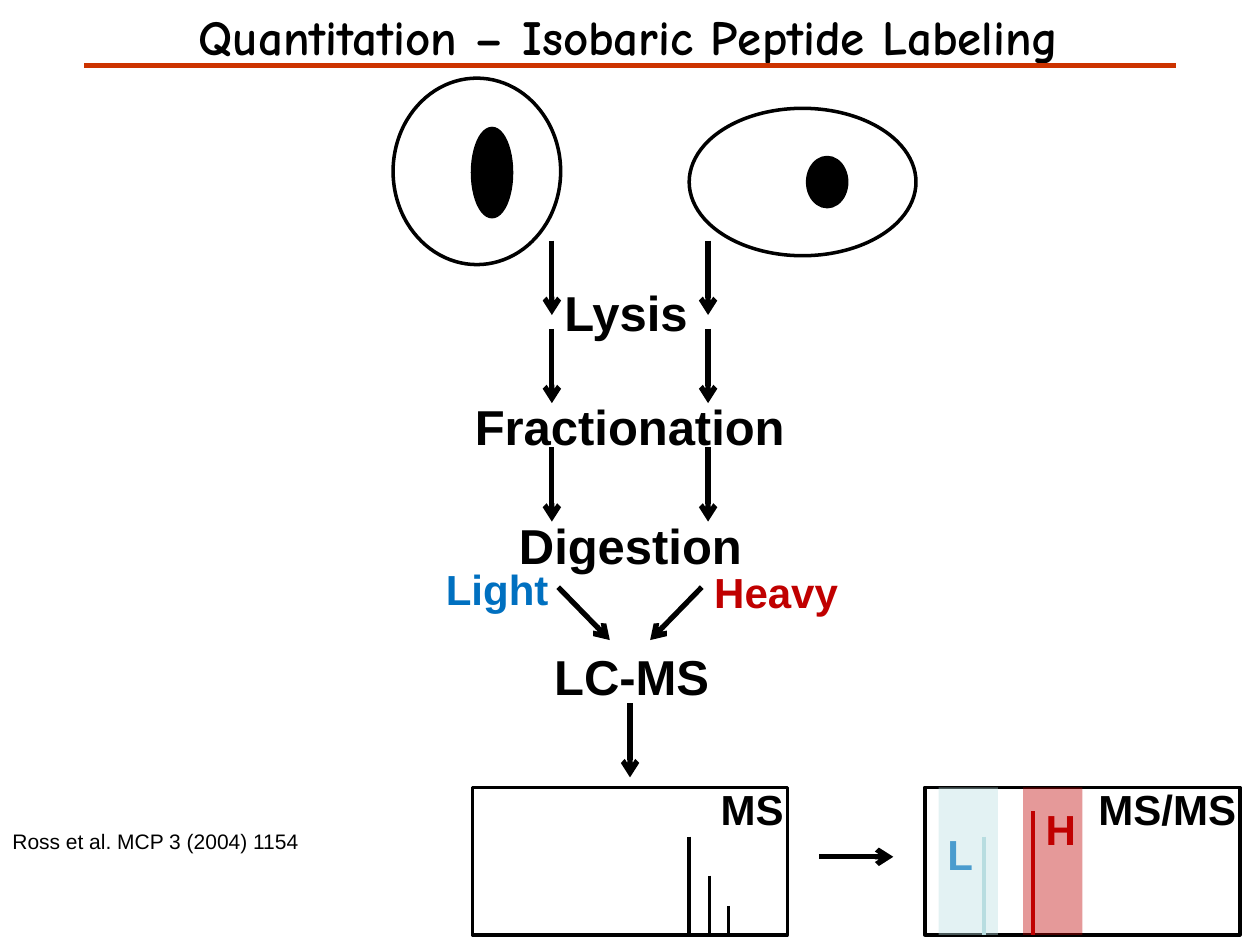
from lxml import etree
from pptx import Presentation
from pptx import util as u
from pptx.dml.color import RGBColor
from pptx.enum import shapes, text
from pptx.oxml.ns import qn

BLACK = RGBColor(0, 0, 0)
BLUE = RGBColor(0x00, 0x70, 0xC0)
RED = RGBColor(0xC0, 0x00, 0x00)
PALE = RGBColor(0xBB, 0xE0, 0xE3)
PALE_LINE = RGBColor(0xB6, 0xDC, 0xDF)
RULE = RGBColor(0xCC, 0x33, 0x00)

# Content: text, (left, top, width, height), size, colour, bold
TITLE = ("Quantitation – Isobaric Peptide Labeling", (1.04, 0, 7.9, 0.57))
LABELS = [
    ("Lysis", (4.38, 2.19, 1.19, 0.57), 28, BLACK, True),
    ("Fractionation", (3.67, 3.1, 2.69, 0.57), 28, BLACK, True),
    ("Digestion", (4.02, 4.04, 1.99, 0.57), 28, BLACK, True),
    ("LC-MS", (4.3, 5.08, 1.45, 0.57), 28, BLACK, True),
    ("Light", (3.44, 4.42, 1.02, 0.51), 24, BLUE, True),
    ("Heavy", (5.57, 4.45, 1.2, 0.51), 24, RED, True),
    ("MS", (5.62, 6.17, 0.71, 0.51), 24, BLACK, True),
    ("MS/MS", (8.62, 6.17, 1.3, 0.51), 24, BLACK, True),
    ("L", (7.42, 6.53, 0.41, 0.51), 24, BLUE, True),
    ("H", (8.2, 6.33, 0.45, 0.51), 24, RED, True),
    ("Ross et al. MCP 3 (2004) 1154", (0, 6.53, 2.49, 0.3), 12, BLACK, False),
]

# Spectra: panels share a top and a base line; peaks are x, top, colour
PANEL_TOP, PANEL_W, PANEL_H = 6.25, 2.5, 1.17
BASE = PANEL_TOP + PANEL_H
PANELS = [3.75, 7.34]
PEAKS = [(5.47, 6.64, BLACK), (5.63, 6.95, BLACK), (5.78, 7.19, BLACK),
         (7.81, 6.64, PALE_LINE), (8.2, 6.44, RED)]
BANDS = [(8.12, RED), (7.45, PALE)]
BAND_W = 0.47

# Cells: pupil drawn first, then the open outline
CELLS = [((3.75, 1.02, 0.31, 0.7), (3.12, 0.62, 1.33, 1.48)),
         ((6.41, 1.25, 0.31, 0.39), (5.47, 0.86, 1.8, 1.17))]

# Arrows: two lanes mirrored about the centre line
CENTRE, LANE, ARROW = 5, 0.62, 0.59
STEP_TOPS = [1.91, 2.61, 3.55]

prs = Presentation()
prs.slide_width, prs.slide_height = u.Inches(10), u.Inches(7.5)
s = prs.slides.add_slide(prs.slide_layouts[5])


def inches(box):
    return [u.Inches(v) for v in box]


def write(sp, words, **font):
    tf = sp.text_frame
    tf.word_wrap = False
    p = tf.paragraphs[0]
    r = p.add_run()
    r.text = words
    color = font.pop("color")
    for name, value in font.items():
        setattr(r.font, name, value)
    r.font.color.rgb = color
    return p


def add_label(words, box, size, color, bold):
    sp = s.shapes.add_textbox(*inches(box))
    write(sp, words, name="Arial", size=u.Pt(size), bold=bold, color=color)


def add_figure(kind, box, fill=None, line=None, alpha=None):
    sp = s.shapes.add_shape(kind, *inches(box))
    sp.shadow.inherit = False
    if fill is None:
        sp.fill.background()
    else:
        sp.fill.solid()
        sp.fill.fore_color.rgb = fill
    if line is None:
        sp.line.fill.background()
    else:
        sp.line.color.rgb = line
        sp.line.width = u.Pt(2)
    if alpha:
        clr = sp.fill._xPr.find(".//" + qn("a:srgbClr"))
        etree.SubElement(clr, qn("a:alpha"), val=str(alpha * 1000))


def add_line(x1, y1, x2, y2, color=BLACK, width=3, arrow=False):
    c = s.shapes.add_connector(shapes.MSO_CONNECTOR.STRAIGHT,
                               *inches((x1, y1, x2, y2)))
    c.line.color.rgb = color
    c.line.width = u.Pt(width)
    if arrow:
        etree.SubElement(c.line._get_or_add_ln(), qn("a:tailEnd"), type="arrow")
    etree.SubElement(c._element.spPr, qn("a:effectLst"))


RECT, OVAL = shapes.MSO_SHAPE.RECTANGLE, shapes.MSO_SHAPE.OVAL

# Title and rule
title = s.shapes.title
title.left, title.top, title.width, title.height = inches(TITLE[1])
p = write(title, TITLE[0], name="Comic Neue", size=u.Pt(28), bold=True, color=BLACK)
p.alignment = text.PP_ALIGN.CENTER
title.text_frame.vertical_anchor = text.MSO_ANCHOR.TOP
add_line(0.67, 0.52, 9.33, 0.52, RULE, 2.5)

# Spectra
for left in PANELS:
    add_figure(RECT, (left, PANEL_TOP, PANEL_W, PANEL_H), line=BLACK)
for x, top, color in PEAKS:
    add_line(x, top, x, BASE, color, 2)

# Workflow arrows
for side in (1, -1):
    x = CENTRE + side * LANE
    for top in STEP_TOPS:
        add_line(x, top, x, top + ARROW, arrow=True)
    add_line(CENTRE + side * 0.57, 4.66, CENTRE + side * 0.16, 5.08, arrow=True)
add_line(CENTRE, 5.58, CENTRE, 5.58 + ARROW, arrow=True)
add_line(6.5, 6.8, 6.5 + ARROW, 6.8, arrow=True)

# Labels, then the translucent bands over them
for label in LABELS:
    add_label(*label)
for left, color in BANDS:
    add_figure(RECT, (left, PANEL_TOP, BAND_W, PANEL_H), fill=color, alpha=40)

# Cells
for pupil, outline in CELLS:
    add_figure(OVAL, pupil, fill=BLACK, line=BLACK)
    add_figure(OVAL, outline, line=BLACK)

prs.save("out.pptx")
